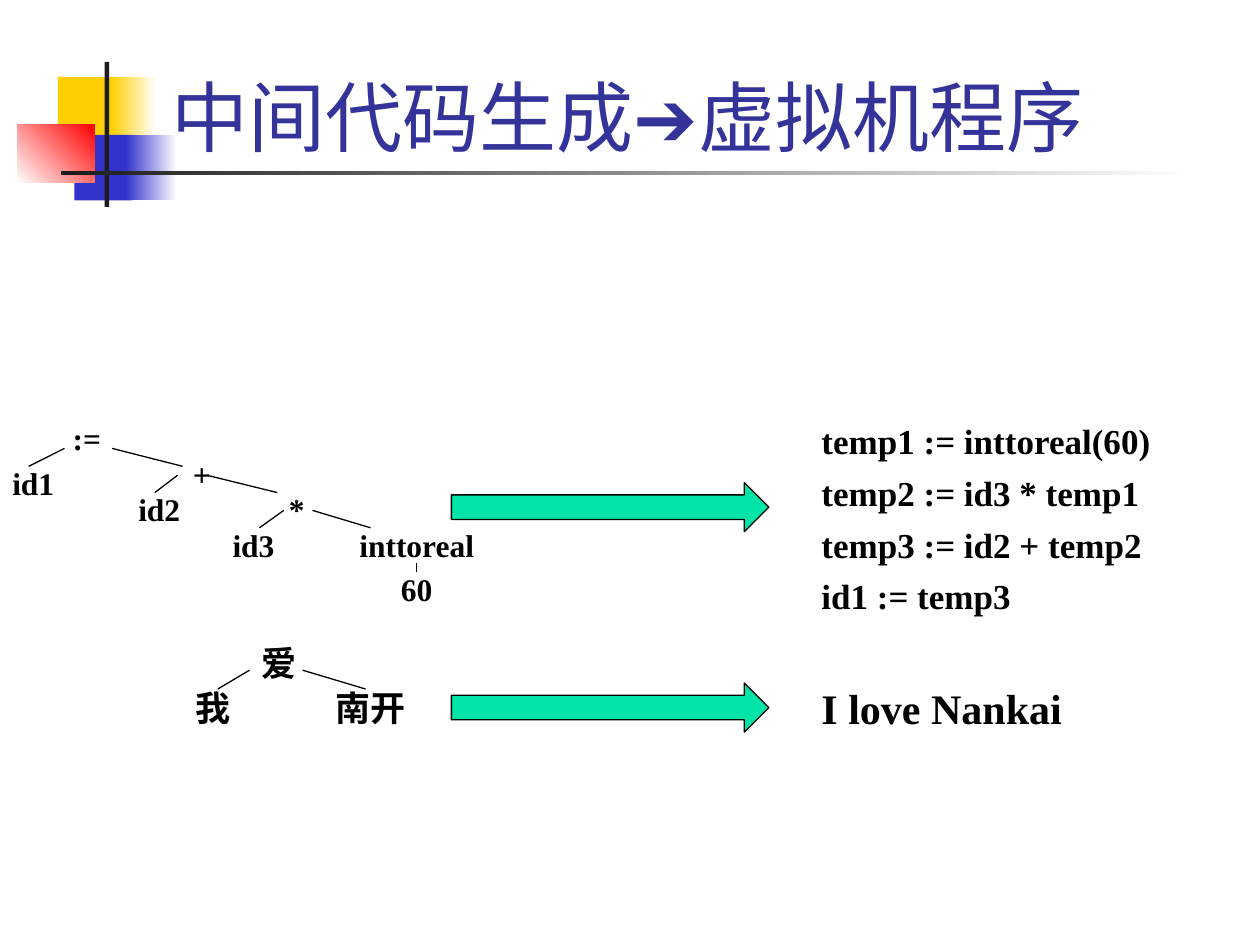
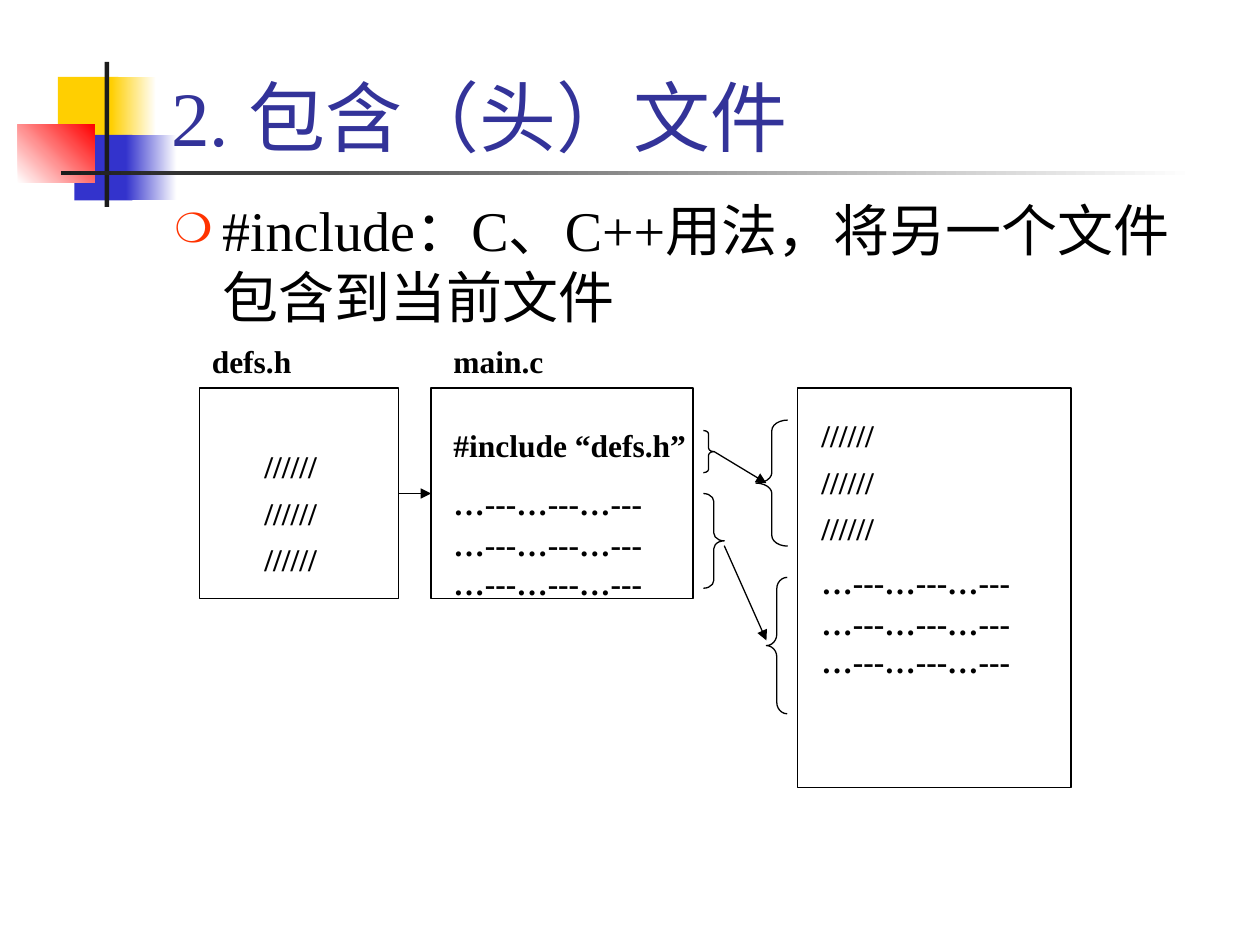
from dataclasses import dataclass

from lxml import etree
from pptx import Presentation
from pptx.dml.color import RGBColor
from pptx.enum import shapes, text
from pptx.oxml import ns
from pptx.util import Cm, Pt

Shape = shapes.MSO_SHAPE


@dataclass(frozen=True)
class Theme:
    ink: str = "000000"
    title: str = "333399"
    paper: str = "FFFFFF"
    yellow: str = "FFCF01"
    blue: str = "3333CC"
    red: str = "FF0000"
    bar: str = "1C1C1C"
    arrow: str = "00E4A8"
    bullet: str = "FF3300"
    face: str = "Times New Roman"
    symbol_face: str = "Arial"
    title_size: int = 44
    body_size: int = 32
    english_size: int = 24
    code_size: int = 20
    label_size: int = 18
    line_width: float = 0.75


THEME = Theme()
TEXT_LEFT = 16.31  # left edge of the right-hand text on both slides
SLASHES = ["//////"] * 3
DASHES = ["…---…---…---"] * 3


# ---- Element helpers -------------------------------------------------------
def apply(target, values):
    for name, value in values.items():
        setattr(target, name, value)


def rgb(colour):
    return RGBColor.from_string(colour)


def add_child(parent, tag, **attributes):
    return etree.SubElement(parent, ns.qn(tag), attributes)


def add_figure(slide, kind, area, fill=None, outlined=True):
    """Preset shape; fill is None, a colour or (start, end, angle)."""
    figure = slide.shapes.add_shape(kind, *map(Cm, area))
    figure.shadow.inherit = False
    if fill is None:
        figure.fill.background()
    elif isinstance(fill, str):
        figure.fill.solid()
        figure.fill.fore_color.rgb = rgb(fill)
    else:
        *ends, angle = fill
        figure.fill.gradient()
        figure.fill.gradient_angle = angle
        for stop, colour in zip(figure.fill.gradient_stops, ends):
            stop.color.rgb = rgb(colour)
    if outlined:
        figure.line.color.rgb = rgb(THEME.ink)
        figure.line.width = Pt(THEME.line_width)
    else:
        figure.line.fill.background()
    return figure


def add_brace(slide, kind, area):
    brace = add_figure(slide, kind, area)
    width, height = area[2:]
    brace.adjustments[0] = height / width / 12


def add_line(slide, start, end, arrow=False):
    line = slide.shapes.add_connector(
        shapes.MSO_CONNECTOR.STRAIGHT, *map(Cm, (*start, *end)))
    line.line.color.rgb = rgb(THEME.ink)
    line.line.width = Pt(THEME.line_width)
    if arrow:
        add_child(line.line._get_or_add_ln(), "a:tailEnd", type="triangle")
    add_child(line._element.spPr, "a:effectLst")


def add_run(paragraph, words, size, colour=THEME.ink, bold=False, face=THEME.face):
    run = paragraph.add_run()
    run.text = words
    apply(run.font, {"size": Pt(size), "bold": bold, "name": face})
    run.font.color.rgb = rgb(colour)


def add_frame(slide, area, **values):
    frame = slide.shapes.add_textbox(*map(Cm, area)).text_frame
    apply(frame, {"word_wrap": True, **values})
    return frame


def add_lines(slide, area, lines, size=THEME.label_size, spacing=()):
    """Bold lines; spacing gives the line spacing of each line after the first."""
    frame = add_frame(slide, area)
    for index, words in enumerate(lines):
        paragraph = frame.add_paragraph() if index else frame.paragraphs[0]
        if index:
            apply(paragraph, {"space_before": Pt(size * 0.625),
                              "line_spacing": spacing[index - 1]})
        add_run(paragraph, words, size, bold=True)


def add_node(slide, words, centre, top, size):
    """Centred tree label, wide enough for full-width Chinese characters."""
    ems = sum(0.6 if letter.isascii() else 1.2 for letter in words)
    width = ems * Pt(size).cm
    frame = add_frame(slide, (centre - width / 2, top, width, 1.02),
                      word_wrap=False, margin_left=0, margin_right=0)
    frame.paragraphs[0].alignment = text.PP_ALIGN.CENTER
    add_run(frame.paragraphs[0], words, size, bold=True)


def add_tree(slide, nodes, edges, size):
    for node in nodes:
        add_node(slide, *node, size)
    for start, end in edges:
        add_line(slide, start, end)


def add_bullet(slide, area, words):
    paragraph = add_frame(slide, area).paragraphs[0]
    properties = paragraph._p.get_or_add_pPr()
    for name, value in {"marL": Cm(0.95), "indent": -Cm(0.95)}.items():
        properties.set(name, str(int(value)))
    add_child(add_child(properties, "a:buClr"), "a:srgbClr", val=THEME.bullet)
    add_child(properties, "a:buSzPct", val="75000")
    add_child(properties, "a:buFont", typeface=THEME.face)
    add_child(properties, "a:buChar", char="❍")
    add_run(paragraph, words, THEME.body_size)


# ---- Shared slide frame ----------------------------------------------------
def add_page(deck, *title_parts):
    """Blank slide with the corner blocks, crossed bars and title."""
    slide = deck.slides.add_slide(deck.slide_layouts[6])
    decoration = [
        ((1.17, 1.55, 1.22, 1.32), THEME.yellow),
        ((2.24, 1.55, 0.91, 1.32), (THEME.yellow, THEME.paper, 0)),
        ((1.5, 2.72, 1.17, 1.32), THEME.blue),
        ((2.54, 2.72, 1.02, 1.32), (THEME.blue, THEME.paper, 0)),
        ((0.36, 2.51, 1.55, 1.18), (THEME.paper, THEME.red, 45)),
        ((2.11, 1.25, 0.09, 2.92), THEME.bar),
        ((1.23, 3.45, 22.86, 0.08), (THEME.bar, THEME.paper, 0)),
    ]
    for area, fill in decoration:
        add_figure(slide, Shape.RECTANGLE, area, fill, outlined=False)
    title = add_frame(slide, (3.2, 0.2, 21.64, 3.18),
                      vertical_anchor=text.MSO_ANCHOR.BOTTOM)
    for words, face in title_parts:
        add_run(title.paragraphs[0], words, THEME.title_size, THEME.title, face=face)
    return slide


# ---- Slides ----------------------------------------------------------------
def build_code_generation(deck):
    slide = add_page(deck, ("中间代码生成", THEME.face), ("➔", THEME.symbol_face),
                     ("虚拟机程序", THEME.face))

    # Syntax tree of the assignment
    expression_nodes = [
        (":=", 1.75, 8.33), ("id1", 0.67, 9.22), ("+", 4.07, 9.04),
        ("id2", 3.21, 9.75), ("*", 5.98, 9.75), ("id3", 5.11, 10.48),
        ("inttoreal", 8.4, 10.48), ("60", 8.4, 11.37),
    ]
    expression_edges = [
        ((1.3, 9.04), (0.58, 9.4)), ((2.26, 9.04), (3.68, 9.4)),
        ((3.58, 9.58), (3.12, 9.93)), ((4.17, 9.58), (5.59, 9.93)),
        ((5.72, 10.29), (5.23, 10.64)), ((6.3, 10.29), (7.47, 10.64)),
        ((8.4, 11.35), (8.4, 11.53)),
    ]
    add_tree(slide, expression_nodes, expression_edges, THEME.label_size)

    # Syntax tree of the sentence
    sentence_nodes = [("爱", 5.63, 12.8), ("我", 4.3, 13.72), ("南开", 7.47, 13.72)]
    sentence_edges = [((5.03, 13.51), (4.39, 13.89)), ((6.1, 13.51), (7.37, 13.89))]
    add_tree(slide, sentence_nodes, sentence_edges, THEME.code_size)

    # Translations
    for top in (9.73, 13.77):
        add_figure(slide, Shape.RIGHT_ARROW, (9.1, top, 6.4, 0.99), THEME.arrow)
    three_address_code = ["temp1 := inttoreal(60)", "temp2 := id3 * temp1",
                          "temp3 := id2 + temp2", "id1 := temp3"]
    add_lines(slide, (TEXT_LEFT, 8.33, 7.59, 4.22), three_address_code,
              THEME.code_size, (0.7, 0.7, 0.7))
    add_lines(slide, (TEXT_LEFT, 13.64, 7.59, 1.3), ["I love Nankai"],
              THEME.english_size)


def build_include_files(deck):
    slide = add_page(deck, ("2. 包含（头）文件", THEME.face))
    add_bullet(slide, (3.28, 3.81, 21.59, 2.9),
               "#include：C、C++用法，将另一个文件包含到当前文件")

    # Files: header, source and the expanded result
    for left, width, height in ((4.02, 4.02, 4.24), (8.69, 5.28, 4.24),
                                (16.08, 5.51, 8.05)):
        add_figure(slide, Shape.RECTANGLE, (left, 7.82, width, height))
    for left, file_name in ((4.02, "defs.h"), (8.89, "main.c")):
        add_lines(slide, (left, 6.78, 3.81, 1.02), [file_name])

    # File contents
    for left, top in ((5.08, 8.89), (TEXT_LEFT, 8.26)):
        add_lines(slide, (left, top, 2.74, 2.9), SLASHES, spacing=(0.7, 0.7))
    add_lines(slide, (8.89, 8.47, 5.4, 3.73), ["#include “defs.h”", *DASHES],
              spacing=(None, 0.5, 0.5))
    add_lines(slide, (TEXT_LEFT, 11.22, 5.28, 2.58), DASHES, spacing=(0.5, 0.5))

    # Braces and the arrows between matching parts
    for area in ((14.18, 8.68, 0.21, 0.85), (14.18, 9.95, 0.42, 1.91)):
        add_brace(slide, Shape.RIGHT_BRACE, area)
    for area in ((15.24, 8.47, 0.64, 2.54), (15.45, 11.64, 0.42, 2.75)):
        add_brace(slide, Shape.LEFT_BRACE, area)
    for start, end in (((8.04, 9.95), (8.69, 9.95)), ((14.39, 9.1), (15.45, 9.74)),
                       ((14.6, 11), (15.45, 12.91))):
        add_line(slide, start, end, arrow=True)


def main():
    deck = Presentation()
    apply(deck, {"slide_width": Cm(25.4), "slide_height": Cm(19.05)})
    build_code_generation(deck)
    build_include_files(deck)
    deck.save("out.pptx")


if __name__ == "__main__":
    main()
